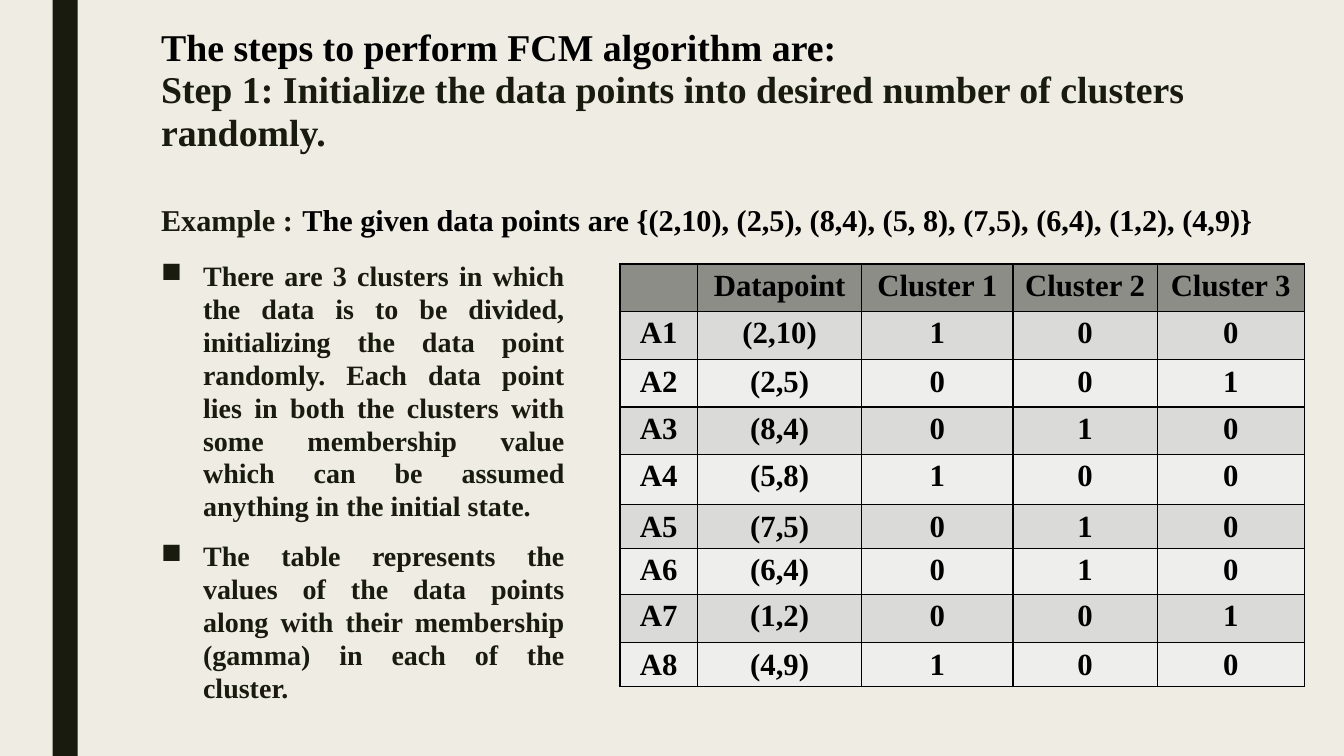
from copy import deepcopy
from dataclasses import dataclass

from lxml.etree import SubElement
from pptx import Presentation
from pptx.dml.color import RGBColor
from pptx.enum.shapes import MSO_SHAPE
from pptx.enum.text import MSO_ANCHOR, PP_ALIGN
from pptx.oxml.ns import qn
from pptx.util import Pt


@dataclass(frozen=True)
class Theme:
    font: str = "Times New Roman"
    background: str = "EFEDE3"
    dark: str = "191B0E"
    black: str = "000000"
    header: str = "8C8D86"
    bands: tuple = ("DADBD9", "EEEEED")
    title_size: float = 27
    example_size: float = 21.6
    body_size: float = 20
    table_size: float = 22


class SlideBuilder:
    def __init__(self, presentation, theme):
        self.theme = theme
        self.slide = presentation.slides.add_slide(presentation.slide_layouts[6])
        self.paint(self.slide.background.fill, theme.background)

    def paint(self, fill, color):
        fill.solid()
        fill.fore_color.rgb = RGBColor.from_string(color)

    def bar(self, left, top, width, height):
        stripe = self.slide.shapes.add_shape(
            MSO_SHAPE.RECTANGLE, Pt(left), Pt(top), Pt(width), Pt(height))
        stripe.shadow.inherit = False
        self.paint(stripe.fill, self.theme.dark)
        stripe.line.fill.background()

    def text_frame(self, left, top, width, height):
        frame = self.slide.shapes.add_textbox(
            Pt(left), Pt(top), Pt(width), Pt(height)).text_frame
        frame.word_wrap = True
        return frame

    def run(self, paragraph, text, size, color, breaks=0):
        """Add bold text, followed by line breaks of the same size."""
        words = paragraph.add_run()
        words.text = text
        font_format = {"name": self.theme.font, "size": Pt(size), "bold": True}
        for attribute, value in font_format.items():
            setattr(words.font, attribute, value)
        words.font.color.rgb = RGBColor.from_string(color)
        for _ in range(breaks):
            paragraph.add_line_break()
            paragraph._p[-1].append(deepcopy(words.font._element))

    def heading(self, box, runs):
        paragraph = self.text_frame(*box).paragraphs[0]
        paragraph.line_spacing = 0.94
        for run in runs:
            self.run(paragraph, *run)

    def bullets(self, box, points):
        frame = self.text_frame(*box)
        paragraph_format = {
            "alignment": PP_ALIGN.JUSTIFY, "line_spacing": 0.98,
            "space_before": Pt(10), "space_after": Pt(2)}
        for index, point in enumerate(points):
            paragraph = frame.add_paragraph() if index else frame.paragraphs[0]
            for attribute, value in paragraph_format.items():
                setattr(paragraph, attribute, value)
            properties = paragraph._p.get_or_add_pPr()
            properties.set("marL", str(Pt(30)))
            properties.set("indent", str(-Pt(30)))
            SubElement(properties, qn("a:buChar"), char="■")
            self.run(paragraph, point, self.theme.body_size, self.theme.dark)

    def borders(self, cell):
        properties = cell._tc.get_or_add_tcPr()
        for index, side in enumerate(("lnL", "lnR", "lnT", "lnB")):
            line = SubElement(properties, qn(f"a:{side}"), w=str(Pt(1)))
            fill = SubElement(line, qn("a:solidFill"))
            SubElement(fill, qn("a:srgbClr"), val=self.theme.black)
            properties.insert(index, line)

    def table(self, left, top, widths, heights, rows):
        grid = self.slide.shapes.add_table(
            len(heights), len(widths), Pt(left), Pt(top),
            Pt(sum(widths)), Pt(sum(heights))).table
        for column, width in zip(grid.columns, widths):
            column.width = Pt(width)
        cell_format = {"margin_top": Pt(3.5), "margin_bottom": 0,
                       "vertical_anchor": MSO_ANCHOR.TOP}
        for row_index, values in enumerate(rows):
            grid.rows[row_index].height = Pt(heights[row_index])
            band = self.theme.bands[(row_index - 1) % 2]
            color = band if row_index else self.theme.header
            for column_index, value in enumerate(values):
                cell = grid.cell(row_index, column_index)
                for attribute, setting in cell_format.items():
                    setattr(cell, attribute, setting)
                self.paint(cell.fill, color)
                self.borders(cell)
                paragraph = cell.text_frame.paragraphs[0]
                paragraph.alignment = PP_ALIGN.CENTER
                if value:
                    self.run(paragraph, value, self.theme.table_size, self.theme.black)


def main():
    presentation = Presentation()
    presentation.slide_width, presentation.slide_height = Pt(960), Pt(540)
    theme = Theme()
    builder = SlideBuilder(presentation, theme)

    builder.bar(37.5, 0, 18, 540)
    builder.heading((108, 15.8, 818.6, 155.5), [
        ("The steps to perform FCM algorithm are:", theme.title_size, theme.black, 1),
        ("Step 1: Initialize the data points into desired number of clusters randomly.",
         theme.title_size, theme.dark, 2),
        ("Example :", theme.example_size, theme.dark),
        (" ", theme.title_size, theme.dark),
        ("The given data points are\u00a0{(2,10), (2,5), (8,4), (5, 8), (7,5), (6,4), "
         "(1,2), (4,9)}", theme.example_size, theme.black),
    ])
    builder.bullets((108, 182.2, 302.4, 319.7), [
        "There are 3 clusters in which the data is to be divided, initializing the data "
        "point randomly. Each data point lies in both the clusters with some membership "
        "value which can be assumed anything in the initial state.",
        "The table represents the values of the data points along with their membership "
        "(gamma) in each of the cluster.",
    ])

    cluster_count = 3
    memberships = [("(2,10)", 1), ("(2,5)", 3), ("(8,4)", 2), ("(5,8)", 1),
                   ("(7,5)", 2), ("(6,4)", 2), ("(1,2)", 3), ("(4,9)", 1)]
    clusters = range(1, cluster_count + 1)
    rows = [["", "Datapoint", *(f"Cluster {number}" for number in clusters)]]
    for index, (datapoint, member) in enumerate(memberships, 1):
        flags = ("1" if number == member else "0" for number in clusters)
        rows.append([f"A{index}", datapoint, *flags])
    builder.table(
        442.8, 188.6,
        widths=(55.4, 117.4, 108, 103, 105.1),
        heights=(33.8, 34.6, 33.8, 33.8, 36, 31, 33.1, 34.6, 31),
        rows=rows)

    presentation.save("out.pptx")


if __name__ == "__main__":
    main()
